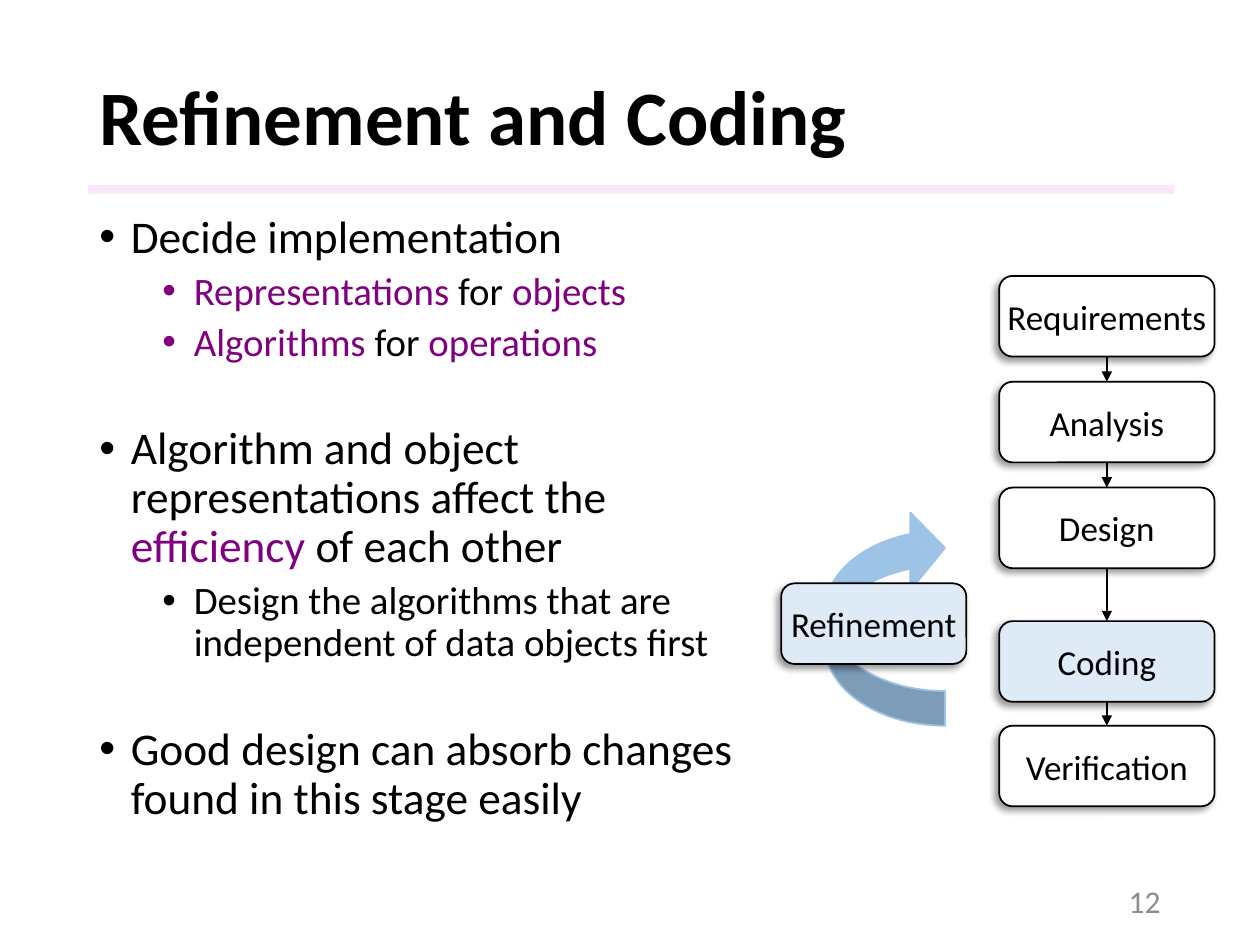
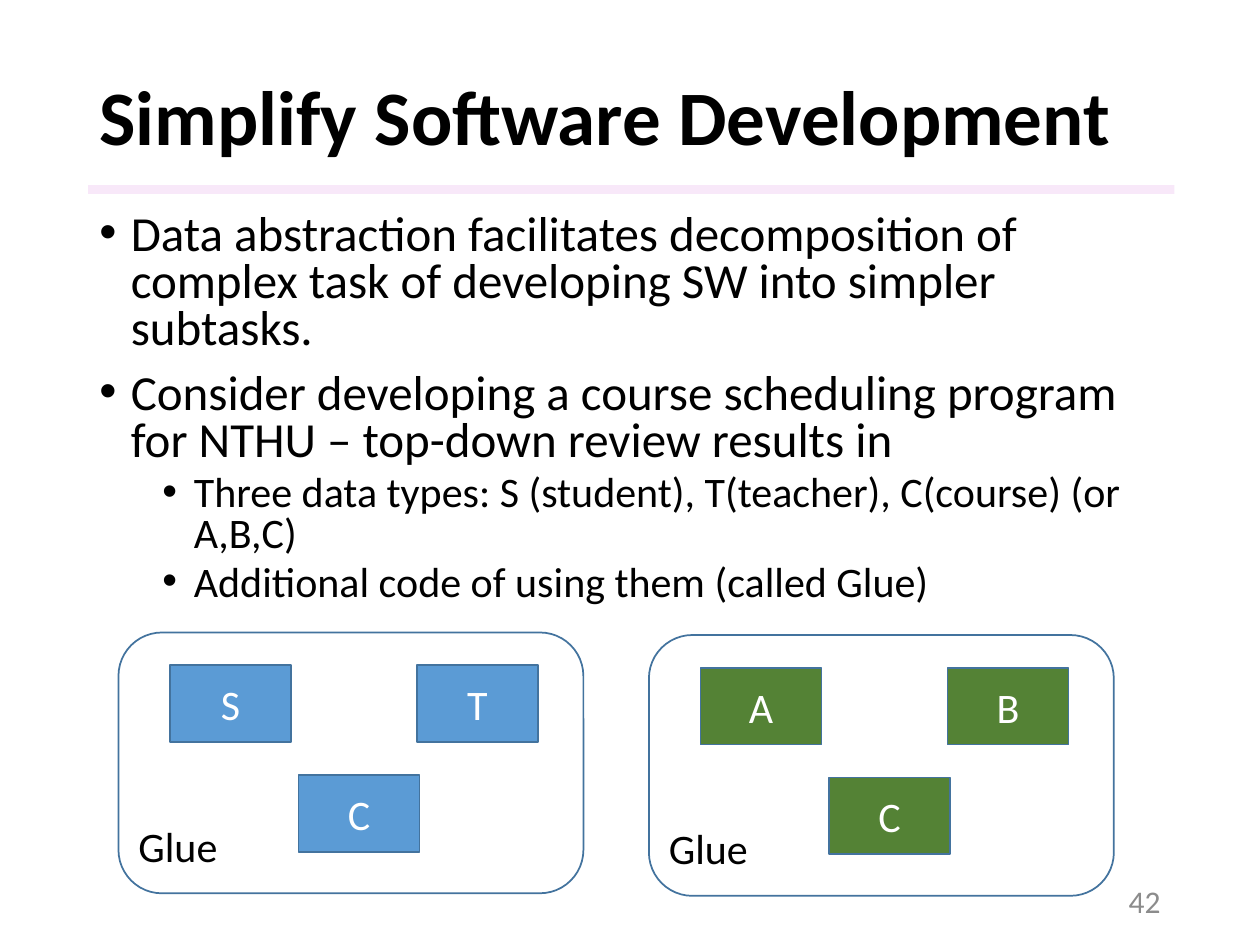
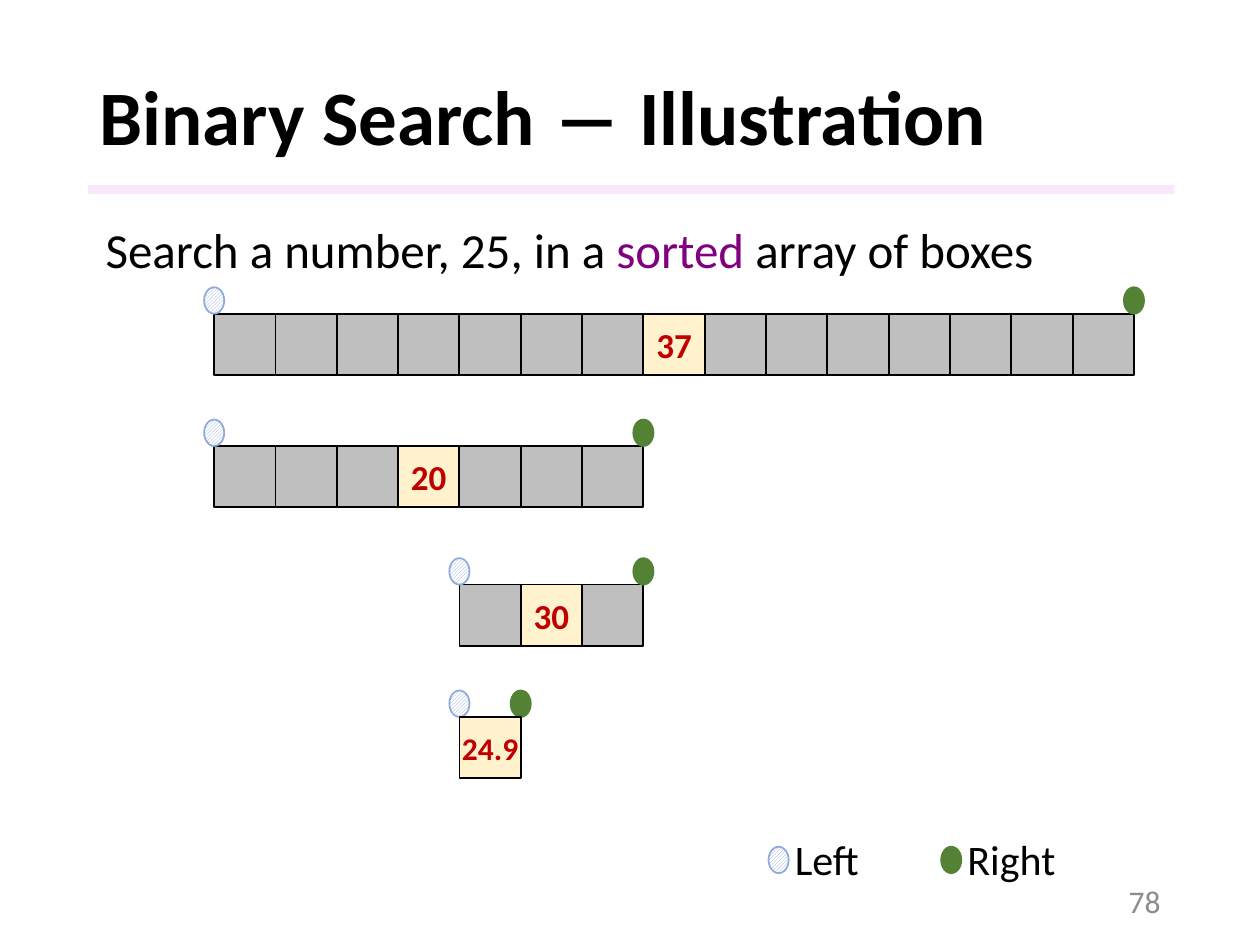
from lxml.etree import SubElement
from pptx import Presentation
from pptx.dml.color import RGBColor
from pptx.enum.dml import MSO_PATTERN
from pptx.enum.shapes import MSO_CONNECTOR, MSO_SHAPE
from pptx.enum.text import MSO_ANCHOR, MSO_AUTO_SIZE, PP_ALIGN
from pptx.oxml.ns import qn
from pptx.util import Inches, Pt

WIDE, HIGH = Inches(10), Inches(7.5)
COLS, ROWS = 100, 75
FONT = "Calibri"
HUES = {
    "ink": "000000", "paper": "FFFFFF", "band": "F3D2F4", "page": "8C8C8C",
    "key": "800080", "pale": "DEEBF7", "arc": "9DC3E6", "blue": "5B9BD5",
    "edge": "43739E", "green": "548235", "cell": "BFBFBF", "mid": "FFF2CC",
    "red": "C00000", "left": "8FAADC",
}
CELL = 73 / 15
CELL_X = 17
DOT_W, DOT_H = 1.6, 2.1


def hue(name):
    return RGBColor.from_string(HUES[name])


def grid(x, y, w, h):
    return (int(WIDE * x / COLS), int(HIGH * y / ROWS),
            int(WIDE * w / COLS), int(HIGH * h / ROWS))


def style(run, size, ink, bold=False):
    run.font.name = FONT
    run.font.size = Pt(size)
    run.font.bold = bold
    run.font.color.rgb = hue(ink)


def write(para, text, size, ink="ink", bold=False):
    for turn, part in enumerate(text.split("*")):
        if part:
            run = para.add_run()
            run.text = part
            style(run, size, "key" if turn % 2 else ink, bold)


def label(home, area, text, size, ink="ink", bold=False, align=PP_ALIGN.LEFT, grow=False):
    box = home.add_textbox(*grid(*area))
    frame = box.text_frame
    frame.word_wrap = not grow
    if grow:
        frame.auto_size = MSO_AUTO_SIZE.SHAPE_TO_FIT_TEXT
    else:
        frame.vertical_anchor = MSO_ANCHOR.MIDDLE
    para = frame.paragraphs[0]
    para.alignment = align
    write(para, text, size, ink, bold)
    return para


def shape(home, kind, area, fill=None, line=None):
    item = home.add_shape(kind, *grid(*area))
    item.shadow.inherit = False
    if fill:
        item.fill.solid()
        item.fill.fore_color.rgb = hue(fill)
    else:
        item.fill.background()
    if line:
        item.line.color.rgb = hue(line)
        item.line.width = Pt(1)
    else:
        item.line.fill.background()
    return item


def block(home, kind, area, text, fill, line, size, ink, bold=False):
    item = shape(home, kind, area, fill, line)
    frame = item.text_frame
    frame.margin_left = frame.margin_right = 0
    frame.vertical_anchor = MSO_ANCHOR.MIDDLE
    frame.text = text
    para = frame.paragraphs[0]
    para.alignment = PP_ALIGN.CENTER
    for run in para.runs:
        style(run, size, ink, bold)
    return item


def shade(item):
    glow = SubElement(item.element.spPr.find(qn("a:effectLst")), qn("a:outerShdw"),
                      blurRad=str(Pt(4)), dist=str(Pt(3)), dir="8100000",
                      algn="tr", rotWithShape="0")
    tint = SubElement(glow, qn("a:srgbClr"), val=HUES["ink"])
    SubElement(tint, qn("a:alpha"), val="40000")


def step(home, x, y, w, text, fill="paper"):
    item = block(home, MSO_SHAPE.ROUNDED_RECTANGLE, (x, y, w, 6.4),
                 text, fill, "ink", 20, "ink")
    shade(item)
    return item


def arrow(home, start, end):
    link = home.add_connector(MSO_CONNECTOR.STRAIGHT, 0, 0, 0, 0)
    link.begin_connect(start, 2)
    link.end_connect(end, 0)
    link.line.color.rgb = hue("ink")
    link.line.width = Pt(1.5)
    SubElement(link.line._get_or_add_ln(), qn("a:tailEnd"), type="triangle")
    SubElement(link.element.spPr, qn("a:effectLst"))


def bullets(home, area, items, sizes, pitch):
    box = home.add_textbox(*grid(*area))
    frame = box.text_frame
    frame.word_wrap = True
    for turn, (level, text, gap) in enumerate(items):
        para = frame.add_paragraph() if turn else frame.paragraphs[0]
        para.level = level
        props = para._p.get_or_add_pPr()
        props.set("marL", str(Inches(0.25 + 0.5 * level)))
        props.set("indent", str(Inches(-0.25)))
        SubElement(props, qn("a:buFont"), typeface="Arial")
        SubElement(props, qn("a:buChar"), char="•")
        para.line_spacing = pitch
        para.space_before = Pt(gap)
        write(para, text, sizes[level])


def page(deck, title, number):
    home = deck.slides.add_slide(deck.slide_layouts[6]).shapes
    band = shape(home, MSO_SHAPE.RECTANGLE, (7, 14.7, 86.2, 0.7), "band")
    tint = band.element.spPr.find(".//" + qn("a:srgbClr"))
    SubElement(tint, qn("a:alpha"), val="50000")
    head = label(home, (6.9, 4, 86.2, 11.1), title, 44, bold=True)
    head.line_spacing = 0.9
    label(home, (70.6, 69.5, 22.5, 4), number, 18, "page", align=PP_ALIGN.RIGHT)
    return home


def panel(home, x, y, names, fill):
    group = home.add_group_shape().shapes
    spots = ((4.1, 2.6), (23.7, 2.6), (14.3, 11.3))
    for name, (dx, dy) in zip(names, spots):
        block(group, MSO_SHAPE.RECTANGLE, (x + dx, y + dy, 9.6, 6.1),
              name, fill, "edge", 24, "paper")
    label(group, (x + 0.6, y + 14.4, 8.4, 5), "Glue", 24, grow=True)
    shape(group, MSO_SHAPE.ROUNDED_RECTANGLE, (x, y, 36.9, 20.7), line="edge")


def dot(home, x, y, side):
    item = shape(home, MSO_SHAPE.OVAL, (x - DOT_W / 2, y, DOT_W, DOT_H), side, side)
    if side == "left":
        item.fill.patterned()
        item.fill.pattern = MSO_PATTERN.DARK_UPWARD_DIAGONAL
        item.fill.fore_color.rgb = hue("left")
        item.fill.back_color.rgb = hue("paper")


def search(home, y, first, count, text):
    group = home.add_group_shape().shapes
    x = CELL_X + first * CELL
    middle = count // 2
    for turn in range(count):
        if turn != middle:
            shape(group, MSO_SHAPE.RECTANGLE, (x + turn * CELL, y, CELL, CELL), "cell", "ink")
    dot(group, x, y - DOT_H, "left")
    dot(group, x + count * CELL, y - DOT_H, "green")
    block(group, MSO_SHAPE.RECTANGLE, (x + middle * CELL, y, CELL, CELL), text,
          "mid", "ink", 18 if len(text) > 2 else 20, "red", True)


def refine(deck):
    home = page(deck, "Refinement and Coding", "12")
    bullets(home, (6.9, 16.5, 53.4, 51), (
        (0, "Decide implementation", 0),
        (1, "*Representations *for *objects*", 5),
        (1, "*Algorithms *for *operations*", 5),
        (0, "Algorithm and object representations affect the *efficiency *of each other", 35),
        (1, "Design the algorithms that are independent of data objects first", 5),
        (0, "Good design can absorb changes found in this stage easily", 35),
    ), (25.9, 22.2), 0.9)
    arc = shape(home, MSO_SHAPE.CURVED_LEFT_ARROW, (65.5, 40.4, 9.5, 17.2), "arc", "arc")
    arc.rotation = 180
    for turn, value in enumerate((0.29, 0.65, 0.29)):
        arc.adjustments[turn] = value
    step(home, 62, 46.3, 14.7, "Refinement", "pale")
    flow = (("Requirements", 21.9), ("Analysis", 30.3), ("Design", 38.7),
            ("Coding", 49.3), ("Verification", 57.6))
    steps = [step(home, 79.3, y, 17.1, name, "pale" if name == "Coding" else "paper")
             for name, y in flow]
    for start, end in zip(steps, steps[1:]):
        arrow(home, start, end)


def develop(deck):
    home = page(deck, "Simplify Software Development", "42")
    bullets(home, (6.9, 16.5, 86.2, 34), (
        (0, "Data abstraction facilitates decomposition of complex task of "
            "developing SW into simpler subtasks.", 0),
        (0, "Consider developing a course scheduling program for NTHU – "
            "top-down review results in", 10),
        (1, "Three data types: S (student), T(teacher), C(course) (or A,B,C)", 5),
        (1, "Additional code of using them (called Glue)", 5),
    ), (28, 24), 0.8)
    panel(home, 9.4, 50.2, "STC", "blue")
    panel(home, 51.5, 50.4, "ABC", "green")


def halve(deck):
    home = page(deck, "Binary Search ― Illustration", "78")
    label(home, (7.4, 16.9, 76.5, 5.7),
          "Search a number, 25, in a *sorted *array of boxes", 28, grow=True)
    for row in ((24.9, 0, 15, "37"), (35.4, 0, 7, "20"),
                (46.4, 4, 3, "30"), (56.9, 4, 1, "24.9")):
        search(home, *row)
    for x, w, name, side in ((61.8, 8, "Left", "left"), (75.5, 9.1, "Right", "green")):
        label(home, (x + 0.3, 65.7, w, 5), name, 24, grow=True)
        dot(home, x, 67.2, side)


def main():
    deck = Presentation()
    deck.slide_width, deck.slide_height = WIDE, HIGH
    refine(deck)
    develop(deck)
    halve(deck)
    deck.save("out.pptx")


if __name__ == "__main__":
    main()
